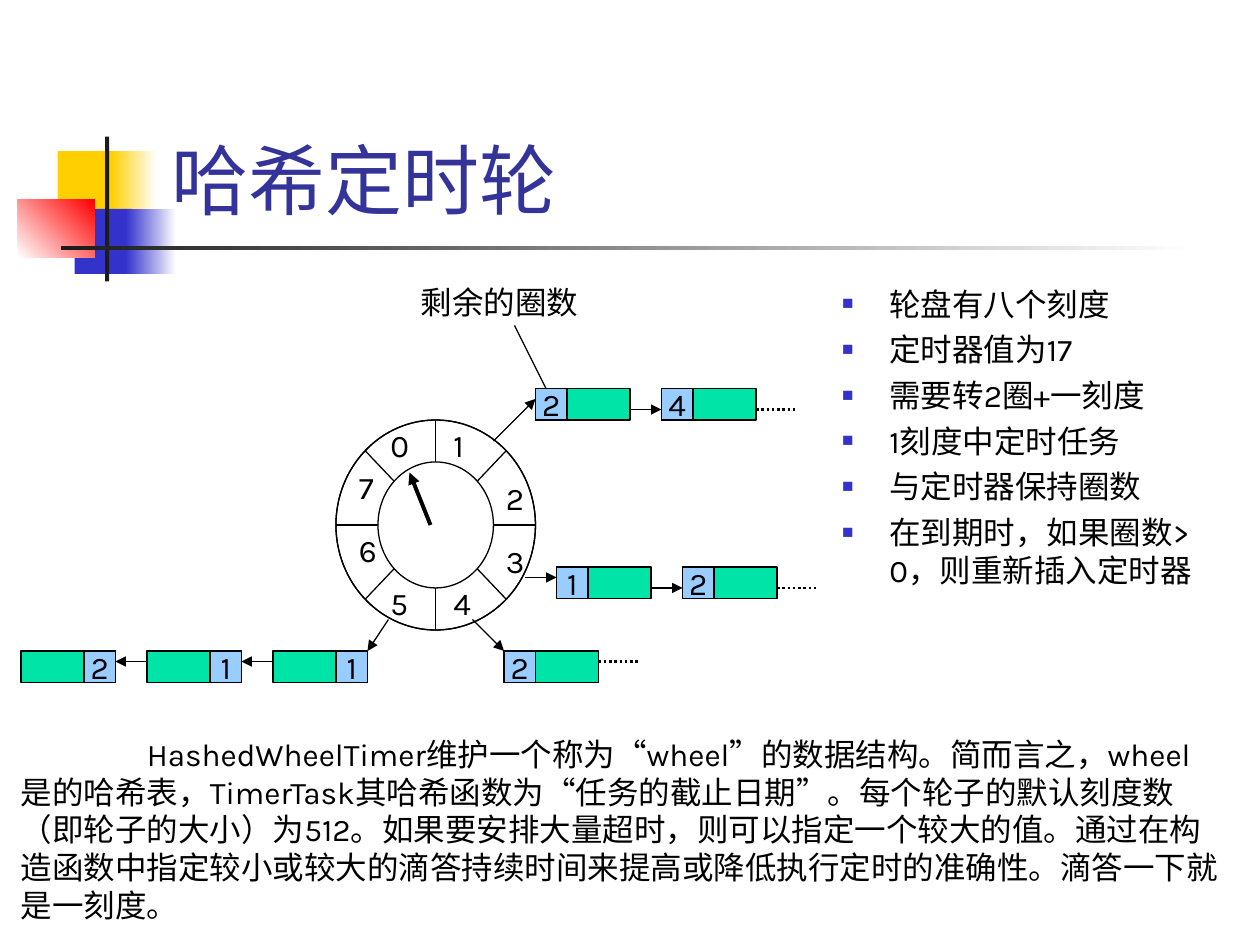
import pptx
import pptx.dml.color
import pptx.enum.dml
import pptx.enum.shapes
import pptx.enum.text
import pptx.oxml
import pptx.oxml.ns
import pptx.util
from lxml import etree

SHAPE = pptx.enum.shapes.MSO_SHAPE
ALIGN = pptx.enum.text.PP_ALIGN
ANCHOR = pptx.enum.text.MSO_ANCHOR
AUTO_SIZE = pptx.enum.text.MSO_AUTO_SIZE
COLUMNS, ROWS = 120, 90

BLACK, WHITE, CHARCOAL = "000000", "FFFFFF", "1C1C1C"
YELLOW, BLUE, RED, NAVY = "FFCF01", "3333CC", "FF0000", "333399"
GREEN, LIGHT_BLUE = "00E4A8", "99CCFF"


def color(value):
    return pptx.dml.color.RGBColor.from_string(value)


class SlideBuilder:
    """Holds the style and the slide; lengths are grid columns and rows."""

    font_name = "Karla"
    font_size = 18

    def __init__(self, presentation):
        self.column = presentation.slide_width / COLUMNS
        self.row = presentation.slide_height / ROWS
        self.slide = presentation.slides.add_slide(presentation.slide_layouts[1])

    def box(self, left, top, width, height):
        return (round(left * self.column), round(top * self.row),
                round(width * self.column), round(height * self.row))

    def set_text(self, shape, text, size=None, text_color=BLACK, align=ALIGN.LEFT):
        shape.text_frame.text = text
        for paragraph in shape.text_frame.paragraphs:
            paragraph.alignment = align
            for run in paragraph.runs:
                run.font.name = self.font_name
                run.font.size = pptx.util.Pt(size or self.font_size)
                run.font.color.rgb = color(text_color)

    def shape(self, kind, area, fill=None, line=BLACK, gradient=None, angle=0):
        shape = self.slide.shapes.add_shape(kind, *self.box(*area))
        shape.shadow.inherit = False
        if gradient:
            shape.fill.gradient()
            shape.fill.gradient_angle = angle
            for stop, value in zip(shape.fill.gradient_stops, gradient):
                stop.color.rgb = color(value)
        elif fill:
            shape.fill.solid()
            shape.fill.fore_color.rgb = color(fill)
        else:
            shape.fill.background()
        if line:
            shape.line.color.rgb = color(line)
            shape.line.width = pptx.util.Pt(0.75)
        else:
            shape.line.fill.background()
        return shape

    def line(self, start, end, width=0.75, arrow=False, dotted=False):
        points = self.box(*start, *end)
        connector = self.slide.shapes.add_connector(
            pptx.enum.shapes.MSO_CONNECTOR.STRAIGHT, *points)
        connector.line.color.rgb = color(BLACK)
        connector.line.width = pptx.util.Pt(width)
        if dotted:
            connector.line.dash_style = pptx.enum.dml.MSO_LINE.ROUND_DOT
        properties = connector.element.spPr
        if arrow:
            outline = properties.find(pptx.oxml.ns.qn("a:ln"))
            etree.SubElement(outline, pptx.oxml.ns.qn("a:tailEnd"), type="triangle")
        etree.SubElement(properties, pptx.oxml.ns.qn("a:effectLst"))

    def text(self, area, text, wrap=False, first_indent=0):
        shape = self.slide.shapes.add_textbox(*self.box(*area))
        self.set_text(shape, text)
        shape.text_frame.word_wrap = wrap
        shape.text_frame.auto_size = AUTO_SIZE.SHAPE_TO_FIT_TEXT
        if first_indent:
            for paragraph in shape.text_frame.paragraphs:
                properties = paragraph._p.get_or_add_pPr()
                properties.set("indent", str(round(first_indent * self.column)))

    def placeholder(self, index, area, text, anchor, **style):
        shape = self.slide.placeholders[index]
        shape.left, shape.top, shape.width, shape.height = self.box(*area)
        shape.element.getparent().append(shape.element)  # bring to the front
        self.set_text(shape, text, **style)
        shape.text_frame.auto_size = AUTO_SIZE.NONE
        shape.text_frame.vertical_anchor = anchor
        return shape

    def bullets(self, area, items):
        shape = self.placeholder(1, area, "\n".join(items), ANCHOR.TOP)
        indent = round(4.5 * self.column)
        for paragraph in shape.text_frame.paragraphs:
            paragraph.space_before = pptx.util.Pt(4.5)
            properties = paragraph._p.get_or_add_pPr()
            properties.set("marL", str(indent))
            properties.set("indent", str(-indent))
            bullet_color = etree.SubElement(properties, pptx.oxml.ns.qn("a:buClr"))
            etree.SubElement(bullet_color, pptx.oxml.ns.qn("a:srgbClr"), val=BLUE)
            etree.SubElement(properties, pptx.oxml.ns.qn("a:buSzPct"), val="60000")
            etree.SubElement(properties, pptx.oxml.ns.qn("a:buChar"), char="■")

    def timer(self, left, top, rounds, count_offset=0):
        """A task box with its cell of remaining rounds."""
        self.shape(SHAPE.RECTANGLE, (left, top, 9, 3), GREEN)
        cell = self.shape(SHAPE.RECTANGLE, (left + count_offset, top, 3, 3), LIGHT_BLUE)
        self.set_text(cell, rounds, align=ALIGN.CENTER)
        cell.text_frame.word_wrap = False
        cell.text_frame.vertical_anchor = ANCHOR.MIDDLE

    def timer_chain(self, left, top, rounds, link_row, leftward=False):
        """Linked timers, 12 columns apart, running away from the wheel."""
        step = -12 if leftward else 12
        for index, value in enumerate(rounds):
            x = left + index * step
            self.timer(x, top, value, 6 if leftward else 0)
            if index < len(rounds) - 1:
                start = x if leftward else x + 9
                end = start - 3 if leftward else start + 3
                self.line((start, link_row), (end, link_row), arrow=True)
            elif not leftward:
                self.line((x + 9, link_row), (x + 13, link_row), 1.5, dotted=True)


def main():
    presentation = pptx.Presentation()
    presentation.slide_width = pptx.util.Inches(10)
    presentation.slide_height = pptx.util.Inches(7.5)
    builder = SlideBuilder(presentation)

    # Corner decoration and title rule
    for area, gradient, angle in [
        ((5.5, 14.4, 5.8, 6.2), (YELLOW, YELLOW), 0),
        ((10.6, 14.4, 4.3, 6.2), (YELLOW, WHITE), 0),
        ((7.1, 19.9, 5.5, 6.2), (BLUE, BLUE), 0),
        ((12, 19.9, 4.8, 6.2), (BLUE, WHITE), 0),
        ((1.7, 19, 7.3, 5.5), (WHITE, RED), 45),
        ((10, 13, 0.4, 13.8), (CHARCOAL, CHARCOAL), 0),
        ((5.8, 23.4, 108, 0.4), (CHARCOAL, WHITE), 0),
    ]:
        first, last = gradient
        builder.shape(SHAPE.RECTANGLE, area, fill=first, line=None,
                      gradient=gradient if first != last else None, angle=angle)

    builder.placeholder(0, (15.1, 2.8, 102.2, 19.2), "哈希定时轮", ANCHOR.BOTTOM,
                        size=44, text_color=NAVY)

    # Wheel with eight ticks and its hand
    for kind in (SHAPE.FLOWCHART_SUMMING_JUNCTION, SHAPE.FLOWCHART_OR):
        builder.shape(kind, (32, 40, 19, 20))
    builder.shape(SHAPE.OVAL, (36, 44, 11, 12), WHITE)
    builder.line((41, 50), (39, 45), 2.25, arrow=True)
    tick_places = [(36, 40), (42, 40), (47, 45), (47, 51),
                   (42, 55), (36, 55), (33, 50), (33, 44)]
    for tick, place in enumerate(tick_places):
        builder.text((*place, 4, 4.8), str(tick))

    # Arrows from the ticks to their timer chains
    for start, end in [((47, 42), (51, 38)), ((50, 55), (53, 55)),
                       ((45, 59), (48, 62)), ((37, 59), (35, 62))]:
        builder.line(start, end, arrow=True)
    builder.timer_chain(51, 37, "24", link_row=39)
    builder.timer_chain(53, 54, "12", link_row=56)
    builder.timer_chain(48, 62, "2", link_row=63)
    builder.timer_chain(26, 62, "112", link_row=63, leftward=True)

    # Label for the remaining rounds
    builder.line((52, 37), (49, 31))
    builder.text((38.9, 26.4, 17.4, 4.8), "剩余的圈数")

    # Key points and explanation
    builder.bullets((79, 26.5, 38.5, 54), [
        "轮盘有八个刻度",
        "定时器值为17",
        "需要转2圈+一刻度",
        "1刻度中定时任务",
        "与定时器保持圈数",
        "在到期时，如果圈数> 0，则重新插入定时器",
    ])
    builder.text(
        (0.8, 69.4, 116.5, 19.2),
        "HashedWheelTimer维护一个称为“wheel”的数据结构。简而言之，"
        "wheel是的哈希表，TimerTask其哈希函数为“任务的截止日期”。"
        "每个轮子的默认刻度数（即轮子的大小）为512。"
        "如果要安排大量超时，则可以指定一个较大的值。"
        "通过在构造函数中指定较小或较大的滴答持续时间来提高或降低执行定时的准确性。"
        "滴答一下就是一刻度。",
        wrap=True, first_indent=12)

    presentation.save("out.pptx")


if __name__ == "__main__":
    main()
